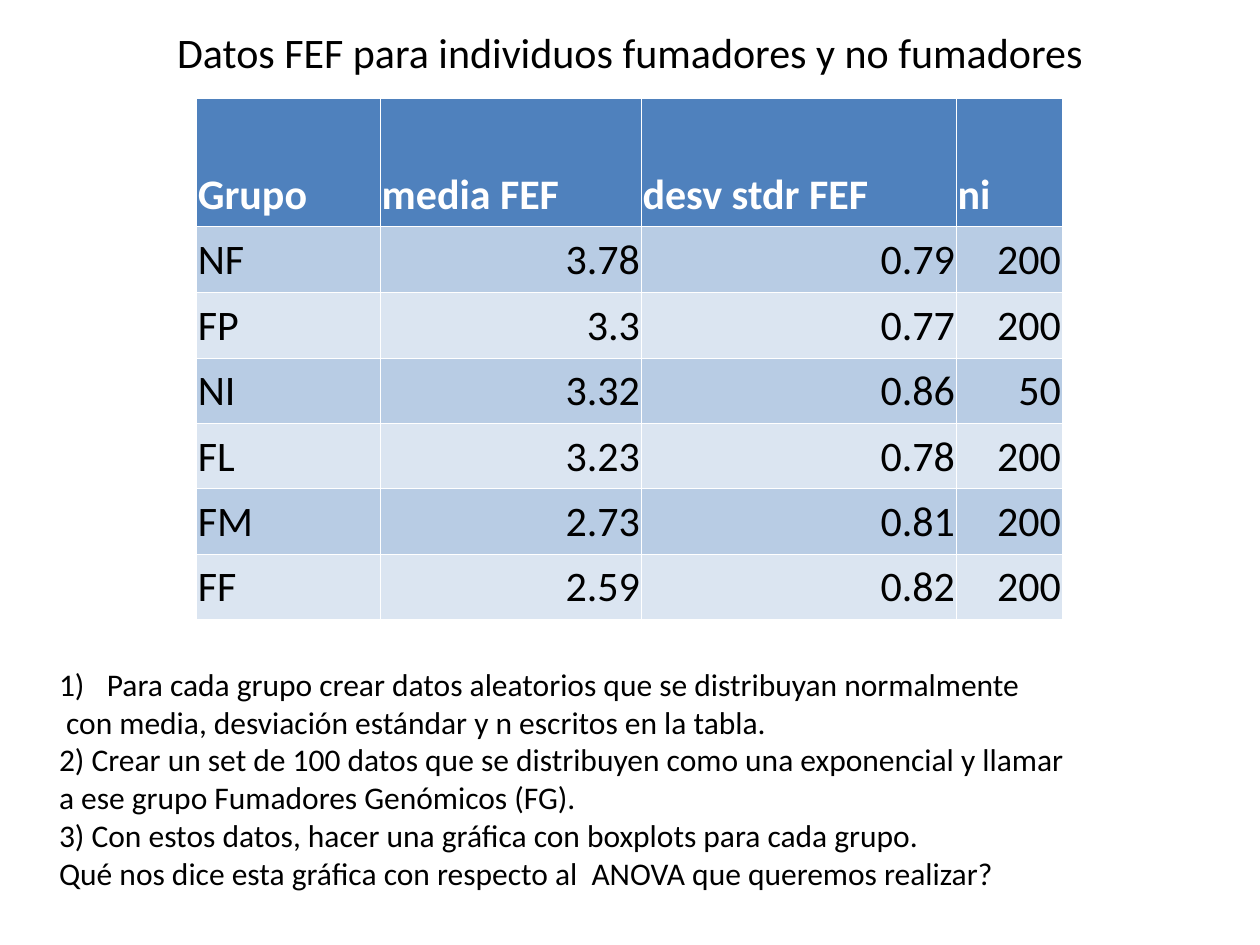
from dataclasses import dataclass

from lxml.etree import SubElement
from pptx import Presentation
from pptx.dml.color import RGBColor
from pptx.enum.text import MSO_ANCHOR as Anchor, PP_ALIGN as Align
from pptx.oxml.ns import qn
from pptx.util import Emu, Inches, Pt

SLIDE_W, SLIDE_H = Inches(10), Inches(7.5)
FONT = "Calibri"
COLORS = {
    "ink": "000000",
    "white": "FFFFFF",
    "header": "4F81BD",
    "odd_row": "B8CCE4",
    "even_row": "DBE5F1",
}
THIN, THICK = 0.23, 0.75
COLUMN_INCHES = (1.46, 2.07, 2.5, 0.84)
HEADER_INCHES, ROW_INCHES = 1.02, 0.52


@dataclass(frozen=True)
class Box:
    left: float
    top: float
    width: float
    height: float

    def emu(self) -> tuple[Emu, ...]:
        return (Emu(int(self.left * SLIDE_W)), Emu(int(self.top * SLIDE_H)),
                Emu(int(self.width * SLIDE_W)), Emu(int(self.height * SLIDE_H)))


@dataclass(frozen=True)
class Group:
    name: str
    mean: str
    deviation: str
    count: str

    def values(self) -> tuple[str, ...]:
        return self.name, self.mean, self.deviation, self.count


TITLE_BOX = Box(0.05, -0.03, 0.9, 0.17)
TABLE_BOX = Box(0.156, 0.104, 0.687, 0.552)
TASKS_BOX = Box(0.037, 0.697, 0.895, 0.253)

HEADINGS = Group("Grupo", "media FEF", "desv stdr FEF", "ni")
GROUPS = (
    Group("NF", "3.78", "0.79", "200"),
    Group("FP", "3.3", "0.77", "200"),
    Group("NI", "3.32", "0.86", "50"),
    Group("FL", "3.23", "0.78", "200"),
    Group("FM", "2.73", "0.81", "200"),
    Group("FF", "2.59", "0.82", "200"),
)
TASKS = (
    "Para cada grupo crear datos aleatorios que se distribuyan normalmente",
    " con media, desviación estándar y n escritos en la tabla.",
    "2) Crear un set de 100 datos que se distribuyen como una exponencial y llamar",
    "a ese grupo Fumadores Genómicos (FG).",
    "3) Con estos datos, hacer una gráfica con boxplots para cada grupo.",
    "Qué nos dice esta gráfica con respecto al  ANOVA que queremos realizar?",
)


def write(paragraph, text: str, *, size: float, color: str = "ink",
          bold: bool = False, align=Align.LEFT) -> None:
    paragraph.alignment = align
    run = paragraph.add_run()
    run.text = text
    run.font.name = FONT
    run.font.size = Pt(size)
    run.font.bold = bold
    run.font.color.rgb = RGBColor.from_string(COLORS[color])


def add_border(cell, side: str, points: float) -> None:
    line = SubElement(cell._tc.get_or_add_tcPr(), qn(f"a:ln{side}"), w=str(Pt(points)))
    fill = SubElement(line, qn("a:solidFill"))
    SubElement(fill, qn("a:srgbClr"), val=COLORS["white"])


def format_cell(cell, fill: str, top: float, bottom: float) -> None:
    cell.margin_left = cell.margin_right = Inches(0.01)
    cell.margin_top = cell.margin_bottom = Inches(0.05)
    cell.vertical_anchor = Anchor.BOTTOM
    for side, points in zip("LRTB", (THIN, THIN, top, bottom)):
        add_border(cell, side, points)
    cell.fill.solid()
    cell.fill.fore_color.rgb = RGBColor.from_string(COLORS[fill])


def add_groups_table(slide) -> None:
    rows = (HEADINGS, *GROUPS)
    table = slide.shapes.add_table(len(rows), len(COLUMN_INCHES), *TABLE_BOX.emu()).table
    for column, width in zip(table.columns, COLUMN_INCHES):
        column.width = Inches(width)
    for r, group in enumerate(rows):
        is_header = r == 0
        table.rows[r].height = Inches(HEADER_INCHES if is_header else ROW_INCHES)
        fill = "header" if is_header else "odd_row" if r % 2 else "even_row"
        for c, value in enumerate(group.values()):
            cell = table.cell(r, c)
            format_cell(cell, fill, THICK if r == 1 else THIN,
                        THICK if is_header else THIN)
            write(cell.text_frame.paragraphs[0], value, size=24, bold=is_header,
                  color="white" if is_header else "ink",
                  align=Align.LEFT if is_header or c == 0 else Align.RIGHT)


def add_tasks(slide) -> None:
    frame = slide.shapes.add_textbox(*TASKS_BOX.emu()).text_frame
    frame.word_wrap = True
    for i, task in enumerate(TASKS):
        paragraph = frame.add_paragraph() if i else frame.paragraphs[0]
        write(paragraph, task, size=18)
        properties = paragraph._p.get_or_add_pPr()
        properties.set("marL", str(Inches(0.38)))
        properties.set("indent", str(-Inches(0.38)))
        if i == 0:
            SubElement(properties, qn("a:buFont"), typeface=FONT)
            SubElement(properties, qn("a:buAutoNum"), type="arabicParenR")


def main() -> None:
    deck = Presentation()
    deck.slide_width, deck.slide_height = SLIDE_W, SLIDE_H
    slide = deck.slides.add_slide(deck.slide_layouts[5])
    title = slide.shapes.title
    title.left, title.top, title.width, title.height = TITLE_BOX.emu()
    title.text_frame.vertical_anchor = Anchor.MIDDLE
    write(title.text_frame.paragraphs[0],
          "Datos FEF para individuos fumadores y no fumadores",
          size=24, align=Align.CENTER)
    add_groups_table(slide)
    add_tasks(slide)
    deck.save("out.pptx")


if __name__ == "__main__":
    main()
